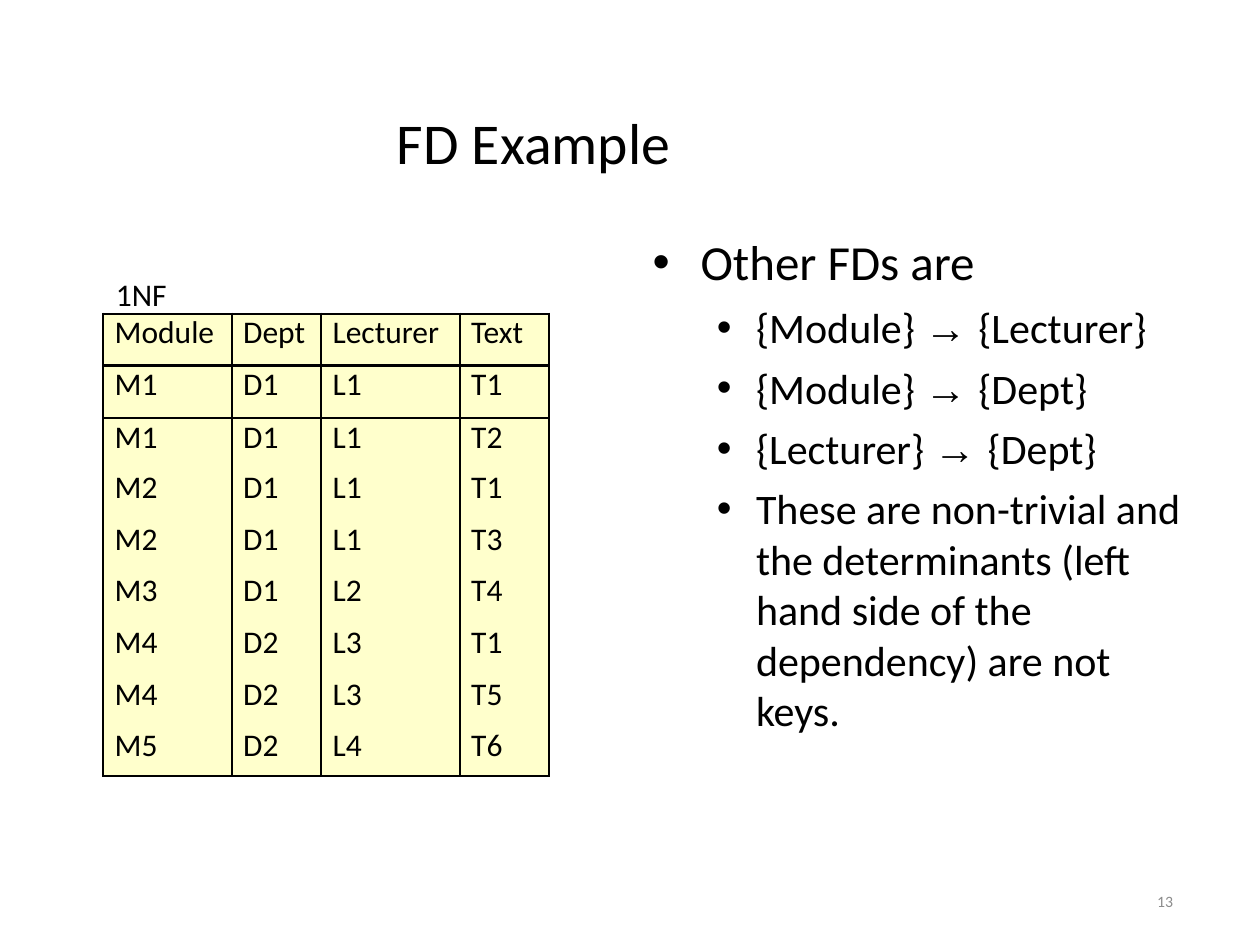
"""Build the FD Example slide with a 1NF table and its functional dependencies."""
import lxml.etree
import pptx
import pptx.dml.color
import pptx.enum.text
import pptx.oxml.ns
import pptx.util

Inches = pptx.util.Inches
Pt = pptx.util.Pt
ANCHOR = pptx.enum.text.MSO_ANCHOR
ALIGN = pptx.enum.text.PP_ALIGN
qualified = pptx.oxml.ns.qn

COLORS = {"text": "000000", "number": "8C8C8C", "cell": "FFFFCC", "border": "000000"}
FONT = "Calibri"
ARROW = "→ "
ARROW_FONT = "Arial"

TITLE = "FD Example"
CAPTION = "1NF"
SLIDE_NUMBER = "13"
HEADING = "Other FDs are"
POINTS = [
    ("{Module} → {Lecturer}", 6.3),
    ("{Module} → {Dept}", 5.8),
    ("{Lecturer} → {Dept}", 5.8),
    ("These are non-trivial and the determinants (left hand side of the "
     "dependency) are not keys.", 5.5),
]
ROWS = [
    ("Module", "Dept", "Lecturer", "Text"),
    ("M1", "D1", "L1", "T1"),
    ("M1", "D1", "L1", "T2"),
    ("M2", "D1", "L1", "T1"),
    ("M2", "D1", "L1", "T3"),
    ("M3", "D1", "L2", "T4"),
    ("M4", "D2", "L3", "T1"),
    ("M4", "D2", "L3", "T5"),
    ("M5", "D2", "L4", "T6"),
]
COLUMN_WIDTHS = [1.02, 0.71, 1.1, 0.71]
ROW_HEIGHTS = [0.41, 0.42, 0.4, 0.41, 0.41, 0.41, 0.41, 0.41, 0.39]
RULED_EDGES = {0, 1, 2, len(ROWS)}


def rgb(name):
    return pptx.dml.color.RGBColor.from_string(COLORS[name])


def style(paragraph, size, color="text"):
    paragraph.font.name = FONT
    paragraph.font.size = Pt(size)
    paragraph.font.color.rgb = rgb(color)


def indent(paragraph, margin, first=0, bullet=False):
    properties = paragraph._p.get_or_add_pPr()
    properties.set("marL", str(Inches(margin)))
    properties.set("indent", str(Inches(first)))
    if bullet:
        font = lxml.etree.SubElement(properties, qualified("a:buFont"))
        font.set("typeface", ARROW_FONT)
        lxml.etree.SubElement(properties, qualified("a:buChar")).set("char", "•")


def add_frame(slide, box, anchor=ANCHOR.TOP, wrap=True):
    frame = slide.shapes.add_textbox(*map(Inches, box)).text_frame
    frame.margin_left = frame.margin_right = frame.margin_top = frame.margin_bottom = 0
    frame.vertical_anchor = anchor
    frame.word_wrap = wrap
    return frame


def add_label(slide, box, text, size, margin, color="text", **options):
    paragraph = add_frame(slide, box, **options).paragraphs[0]
    paragraph.text = text
    indent(paragraph, margin)
    style(paragraph, size, color)
    return paragraph


def add_dependencies(slide):
    frame = add_frame(slide, (5.17, 1.84, 4.21, 3.96))
    heading = frame.paragraphs[0]
    heading.text = HEADING
    indent(heading, 0.39, -0.38, bullet=True)
    style(heading, 28)
    for text, space in POINTS:
        paragraph = frame.add_paragraph()
        paragraph.level = 1
        paragraph.space_before = Pt(space)
        indent(paragraph, 0.83, -0.31, bullet=True)
        style(paragraph, 24)
        before, arrow, after = text.partition(ARROW)
        paragraph.add_run().text = before
        if arrow:
            run = paragraph.add_run()
            run.text = arrow
            run.font.name = ARROW_FONT
            paragraph.add_run().text = after


def set_border(cell, side, visible):
    properties = cell._tc.get_or_add_tcPr()
    line = lxml.etree.SubElement(properties, qualified(f"a:ln{side}"))
    line.set("w", str(Pt(1.5)))
    if visible:
        fill = lxml.etree.SubElement(line, qualified("a:solidFill"))
        lxml.etree.SubElement(fill, qualified("a:srgbClr")).set("val", COLORS["border"])
    else:
        lxml.etree.SubElement(line, qualified("a:noFill"))


def add_module_table(slide):
    size = (sum(COLUMN_WIDTHS), sum(ROW_HEIGHTS))
    table = slide.shapes.add_table(
        len(ROWS), len(COLUMN_WIDTHS), Inches(0.82), Inches(2.49), *map(Inches, size)
    ).table
    table.first_row = table.horz_banding = False
    for column, width in zip(table.columns, COLUMN_WIDTHS):
        column.width = Inches(width)
    for index, (row, height) in enumerate(zip(table.rows, ROW_HEIGHTS)):
        row.height = Inches(height)
        for cell, text in zip(row.cells, ROWS[index]):
            cell.margin_left = cell.margin_right = cell.margin_top = cell.margin_bottom = 0
            borders = {"L": True, "R": True,
                       "T": index in RULED_EDGES, "B": index + 1 in RULED_EDGES}
            for side, visible in borders.items():
                set_border(cell, side, visible)
            cell.fill.solid()
            cell.fill.fore_color.rgb = rgb("cell")
            paragraph = cell.text_frame.paragraphs[0]
            paragraph.text = text
            indent(paragraph, 0.09)
            style(paragraph, 18)


def main():
    presentation = pptx.Presentation()
    presentation.slide_width, presentation.slide_height = Inches(10), Inches(7.5)
    slide = presentation.slides.add_slide(presentation.slide_layouts[6])
    add_label(slide, (0.69, 0.4, 8.62, 1.45), TITLE, 33, 2.46, anchor=ANCHOR.MIDDLE)
    number = add_label(slide, (7.06, 6.95, 2.25, 0.4), SLIDE_NUMBER, 9, 0.03,
                       color="number", anchor=ANCHOR.MIDDLE)
    number.alignment = ALIGN.RIGHT
    add_dependencies(slide)
    add_label(slide, (0.91, 2.18, 0.43, 0.28), CAPTION, 18, 0.01, wrap=False)
    add_module_table(slide)
    presentation.save("out.pptx")


if __name__ == "__main__":
    main()
